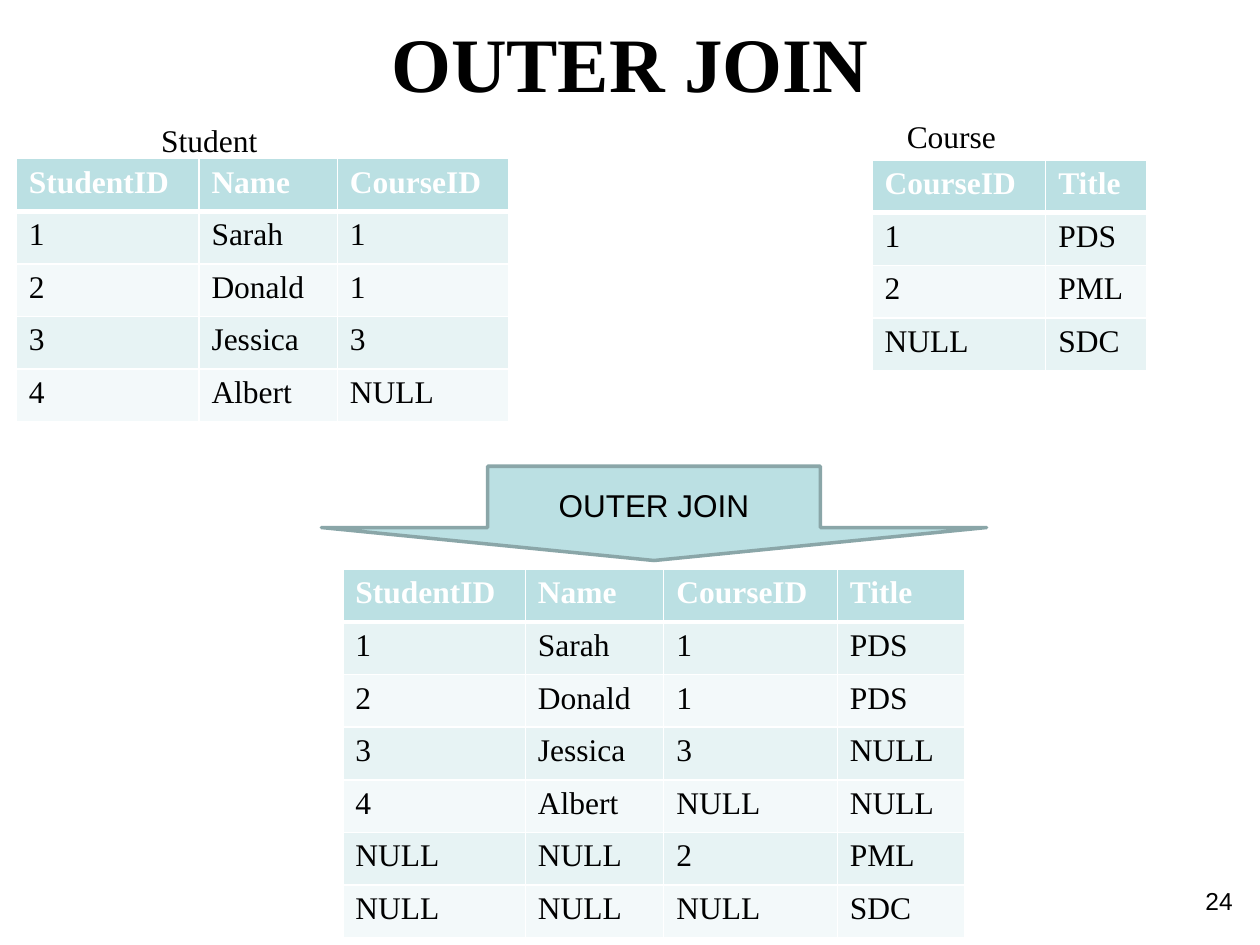
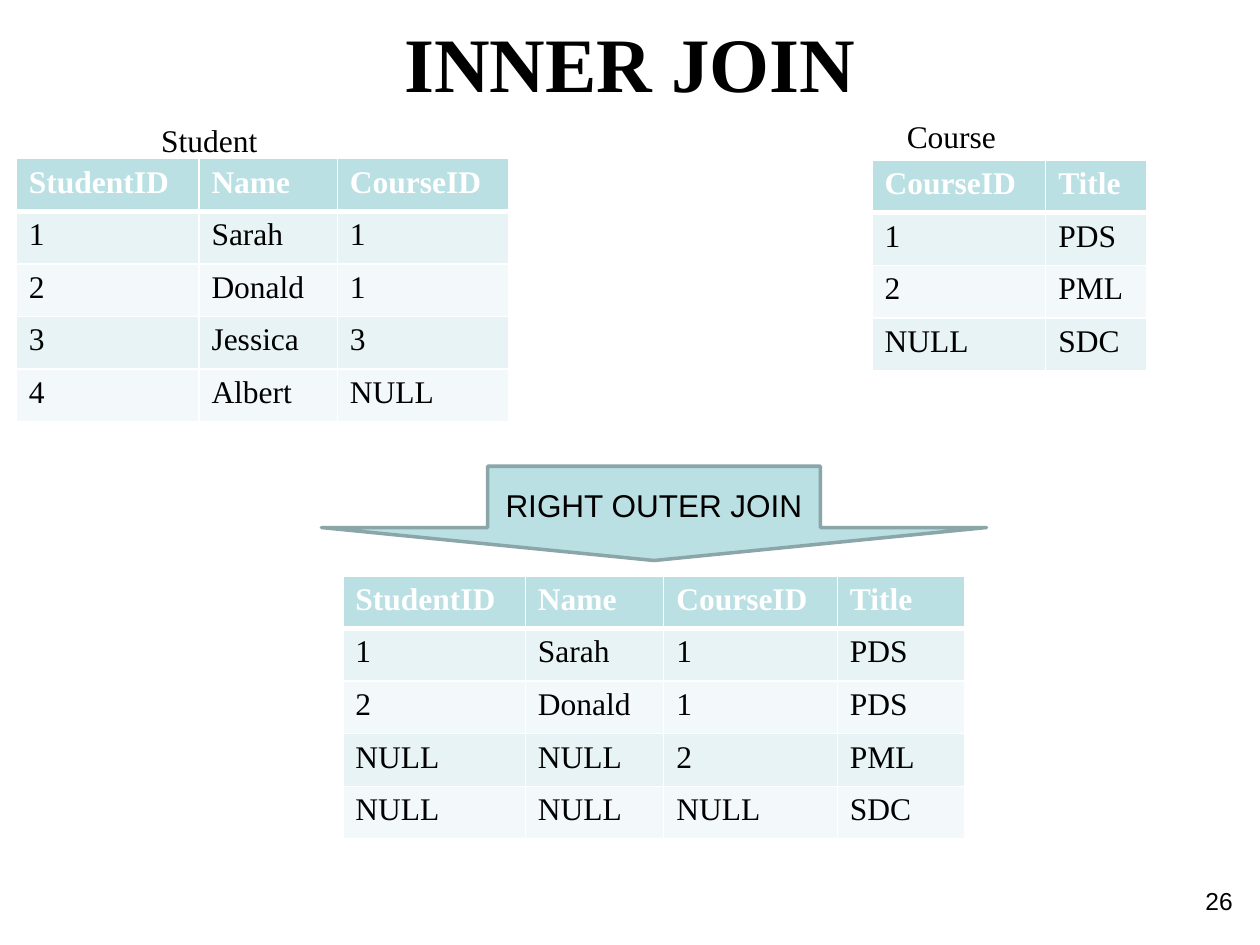
import pptx
import pptx.util
import pptx.dml.color
import pptx.enum.shapes
import pptx.enum.text
import pptx.oxml
import lxml.etree

Cm, Pt = pptx.util.Cm, pptx.util.Pt
RGBColor = pptx.dml.color.RGBColor
ALIGN = pptx.enum.text.PP_ALIGN
ANCHOR = pptx.enum.text.MSO_ANCHOR

# Content
STUDENTS = [
    ("StudentID", "Name", "CourseID"),
    ("1", "Sarah", "1"),
    ("2", "Donald", "1"),
    ("3", "Jessica", "3"),
    ("4", "Albert", "NULL"),
]
COURSES = [
    ("CourseID", "Title"),
    ("1", "PDS"),
    ("2", "PML"),
    ("NULL", "SDC"),
]
JOIN_HEADER = ("StudentID", "Name", "CourseID", "Title")
MATCHED = [("1", "Sarah", "1", "PDS"), ("2", "Donald", "1", "PDS")]
ONLY_STUDENTS = [("3", "Jessica", "3", "NULL"), ("4", "Albert", "NULL", "NULL")]
ONLY_COURSES = [("NULL", "NULL", "2", "PML"), ("NULL", "NULL", "NULL", "SDC")]

JOINS = [
    {"title": "OUTER JOIN", "operation": "OUTER JOIN", "number": "24", "result_top": 11.48,
     "result": [JOIN_HEADER] + MATCHED + ONLY_STUDENTS + ONLY_COURSES},
    {"title": "INNER JOIN", "operation": "RIGHT OUTER JOIN", "number": "26", "result_top": 11.61,
     "result": [JOIN_HEADER] + MATCHED + ONLY_COURSES},
]

# Shared look
BLACK = RGBColor(0x00, 0x00, 0x00)
WHITE = RGBColor(0xFF, 0xFF, 0xFF)
TEAL = RGBColor(0xBB, 0xE0, 0xE3)
TEAL_LINE = RGBColor(0x8A, 0xA6, 0xA8)
BANDS = (RGBColor(0xF3, 0xF9, 0xFA), RGBColor(0xE7, 0xF3, 0xF4))
SERIF, SANS = "Times New Roman", "Arial"
ROW_HEIGHT = 1.06
STUDENT_WIDTHS = (3.68, 2.79, 3.45)
COURSE_WIDTHS = (3.5, 2.03)
RESULT_WIDTHS = (3.68, 2.79, 3.5, 2.57)


def write(frame, text, font, size, color=BLACK, bold=False, align=ALIGN.LEFT):
    paragraph = frame.paragraphs[0]
    paragraph.text = text
    paragraph.alignment = align
    paragraph.font.name = font
    paragraph.font.size = Pt(size)
    paragraph.font.bold = bold
    paragraph.font.color.rgb = color
    return paragraph


def add_label(slide, box, text, font, size, **style):
    frame = slide.shapes.add_textbox(*map(Cm, box)).text_frame
    frame.word_wrap = True
    return write(frame, text, font, size, **style)


def add_borders(cell, top, bottom):
    """White cell borders; top and bottom are widths in points."""
    properties = cell._tc.get_or_add_tcPr()
    for side, points in (("L", 1), ("R", 1), ("T", top), ("B", bottom)):
        line = lxml.etree.SubElement(
            properties, pptx.oxml.ns.qn("a:ln" + side), w=str(Pt(points)))
        fill = lxml.etree.SubElement(line, pptx.oxml.ns.qn("a:solidFill"))
        lxml.etree.SubElement(fill, pptx.oxml.ns.qn("a:srgbClr"), val=str(WHITE))


def add_relation(slide, left, top, widths, rows):
    relation = slide.shapes.add_table(
        len(rows), len(widths), Cm(left), Cm(top),
        Cm(sum(widths)), Cm(ROW_HEIGHT * len(rows))).table
    for column, width in zip(relation.columns, widths):
        column.width = Cm(width)
    for r, values in enumerate(rows):
        relation.rows[r].height = Cm(ROW_HEIGHT)
        header = r == 0
        for c, value in enumerate(values):
            cell = relation.cell(r, c)
            add_borders(cell, top=3 if r == 1 else 1, bottom=3 if header else 1)
            cell.fill.solid()
            cell.fill.fore_color.rgb = TEAL if header else BANDS[r % 2]
            write(cell.text_frame, value, SERIF, 18,
                  color=WHITE if header else BLACK, bold=header)


def add_operation(slide, text):
    arrow = slide.shapes.add_shape(
        pptx.enum.shapes.MSO_SHAPE.DOWN_ARROW, Cm(6.48), Cm(9.4), Cm(13.41), Cm(1.9))
    arrow.adjustments[0] = 0.5
    arrow.adjustments[1] = 0.35
    arrow.shadow.inherit = False
    arrow.fill.solid()
    arrow.fill.fore_color.rgb = TEAL
    arrow.line.color.rgb = TEAL_LINE
    arrow.line.width = Pt(2)
    arrow.text_frame.vertical_anchor = ANCHOR.MIDDLE
    write(arrow.text_frame, text, SANS, 18, align=ALIGN.CENTER)


def add_join_slide(deck, join):
    slide = deck.slides.add_slide(deck.slide_layouts[6])
    # Title and slide number
    title = add_label(slide, (0, 0.18, 25.4, 2.13), join["title"], SERIF, 44,
                      bold=True, align=ALIGN.CENTER)
    title.space_before = Pt(6)
    add_label(slide, (19.18, 17.73, 5.92, 1.32), join["number"], SANS, 14,
              align=ALIGN.RIGHT)
    # Source tables with their names
    add_relation(slide, 17.58, 3.23, COURSE_WIDTHS, COURSES)
    add_relation(slide, 0.33, 3.2, STUDENT_WIDTHS, STUDENTS)
    add_label(slide, (18.03, 2.24, 4.67, 1.02), "Course", SERIF, 18)
    add_label(slide, (3, 2.31, 2.84, 1.02), "Student", SERIF, 18)
    # Joined table below the arrow
    add_relation(slide, 6.91, join["result_top"], RESULT_WIDTHS, join["result"])
    add_operation(slide, join["operation"])


def main():
    deck = pptx.Presentation()
    deck.slide_width, deck.slide_height = Cm(25.4), Cm(19.05)
    for join in JOINS:
        add_join_slide(deck, join)
    deck.save("out.pptx")


if __name__ == "__main__":
    main()
